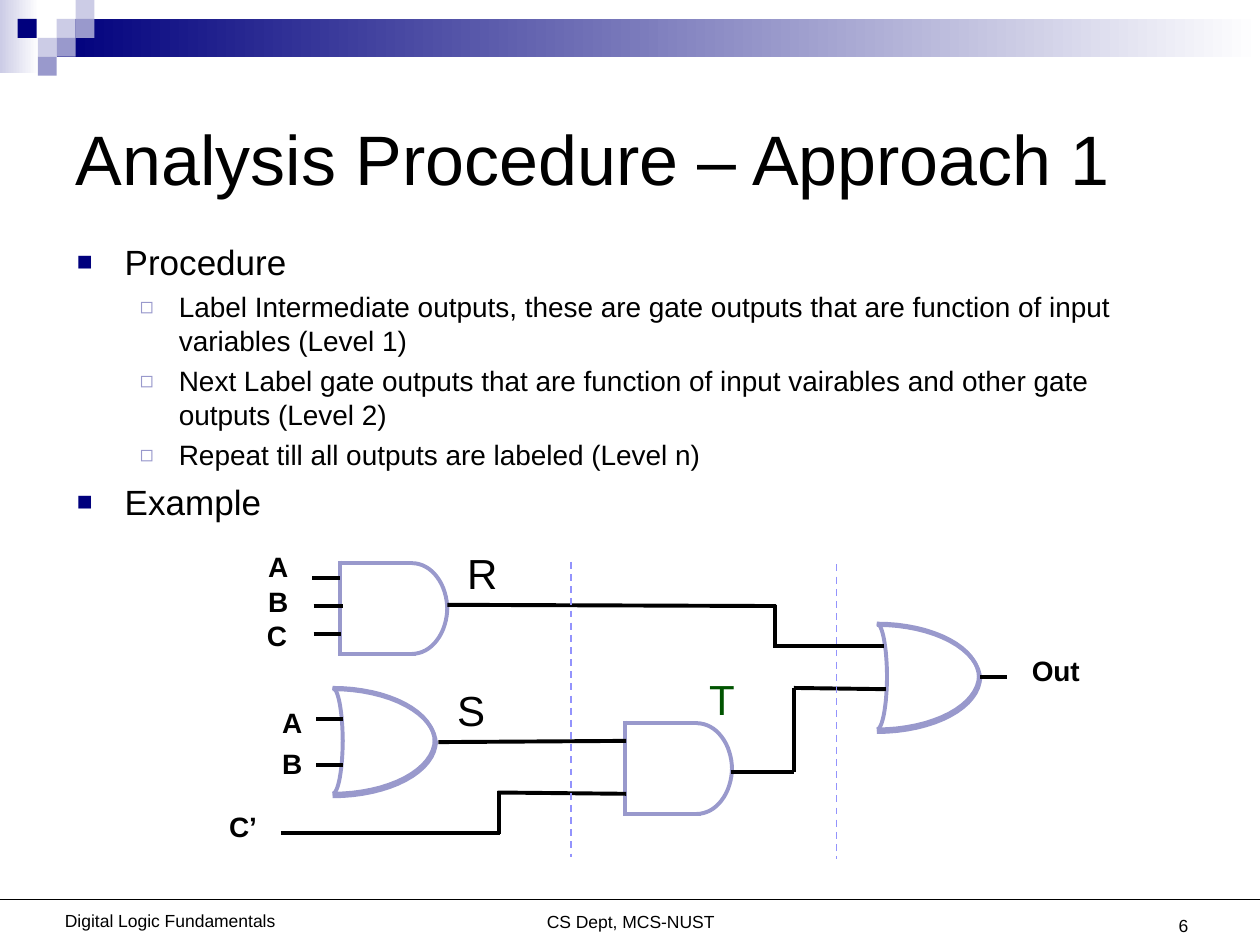
from math import cos, pi, sin

from lxml.etree import SubElement
from pptx import Presentation
from pptx.dml.color import RGBColor
from pptx.enum.dml import MSO_LINE
from pptx.enum.shapes import MSO_CONNECTOR, MSO_SHAPE
from pptx.enum.text import MSO_ANCHOR, MSO_AUTO_SIZE, PP_ALIGN
from pptx.oxml.ns import qn
from pptx.util import Inches, Pt

BLACK = RGBColor(0x00, 0x00, 0x00)
WHITE = RGBColor(0xFF, 0xFF, 0xFF)
NAVY = RGBColor(0x00, 0x00, 0x7D)
LILAC = RGBColor(0x99, 0x99, 0xCC)
PALE = RGBColor(0xCC, 0xCC, 0xE6)
GREEN = RGBColor(0x00, 0x54, 0x00)
DASH = RGBColor(0x93, 0x93, 0xFC)

deck = Presentation()
deck.slide_width, deck.slide_height = Inches(10), Inches(7.5)
slide = deck.slides.add_slide(deck.slide_layouts[1])
shapes = slide.shapes


def wire(x1, y1, x2, y2, color=BLACK, width=2.25):
    line = shapes.add_connector(MSO_CONNECTOR.STRAIGHT, Inches(x1), Inches(y1),
                                Inches(x2), Inches(y2))
    line.line.color.rgb = color
    line.line.width = Pt(width)
    SubElement(line._element.spPr, qn("a:effectLst"))
    return line


def arc(x, y, w, h, lower):
    """Draw the upper or lower right quarter of an ellipse in the given box."""
    steps = 16
    pts = []
    for i in range(steps + 1):
        turn = pi / 2 * i / steps
        drop = h * cos(turn)
        pts.append((Inches(x + w * sin(turn)), Inches(y + drop if lower else y + h - drop)))
    build = shapes.build_freeform(*pts[0])
    build.add_line_segments(pts[1:], close=False)
    curve = build.convert_to_shape()
    curve.shadow.inherit = False
    curve.fill.background()
    curve.line.color.rgb = LILAC
    curve.line.width = Pt(2.25)


# Banner
for x, y, w, h, start in [(0, 0, 0.31, 0.58, PALE), (0.45, 0.15, 9.55, 0.3, NAVY)]:
    band = shapes.add_shape(MSO_SHAPE.RECTANGLE, Inches(x), Inches(y), Inches(w), Inches(h))
    band.shadow.inherit = False
    band.line.fill.background()
    band.fill.gradient()
    band.fill.gradient_angle = 0
    for stop, color in zip(band.fill.gradient_stops, (start, WHITE)):
        stop.color.rgb = color

side = 0.15
for x, y, color in [(0.45, 0.15, PALE), (0.6, 0, PALE), (0.6, 0.15, LILAC), (0.3, 0.3, PALE),
                    (0.14, 0.15, NAVY), (0.45, 0.3, LILAC), (0.3, 0.45, LILAC)]:
    tile = shapes.add_shape(MSO_SHAPE.RECTANGLE, Inches(x), Inches(y), Inches(side), Inches(side))
    tile.shadow.inherit = False
    tile.line.fill.background()
    tile.fill.solid()
    tile.fill.fore_color.rgb = color

# Title
title = shapes.title
title.left, title.top, title.width, title.height = Inches(0.5), Inches(0.5), Inches(9), Inches(1.5)
frame = title.text_frame
frame.auto_size = MSO_AUTO_SIZE.NONE
frame.vertical_anchor = MSO_ANCHOR.MIDDLE
para = frame.paragraphs[0]
para.alignment = PP_ALIGN.LEFT
run = para.add_run()
run.text = "Analysis Procedure – Approach 1"
run.font.size, run.font.name = Pt(40), "Arial"
run.font.color.rgb = BLACK

# Procedure list
body = slide.placeholders[1]
body.left, body.top, body.width, body.height = Inches(0.51), Inches(1.86), Inches(9), Inches(4.25)
frame = body.text_frame
frame.auto_size = MSO_AUTO_SIZE.NONE
# size, space before, left margin, indent, bullet, bullet colour, bullet percent
styles = [(20, 5, 0.38, -0.38, "■", NAVY, 75), (16, 4, 0.81, -0.31, "◻", LILAC, 80)]
items = [
    (0, "Procedure"),
    (1, "Label Intermediate outputs, these are gate outputs that are function of input "
        "variables (Level 1)"),
    (1, "Next Label gate outputs that are function of input vairables and other gate "
        "outputs (Level 2)"),
    (1, "Repeat till all outputs are labeled (Level n)"),
    (0, "Example"),
]
for i, (level, text) in enumerate(items):
    size, gap, left, indent, mark, color, scale = styles[level]
    para = frame.add_paragraph() if i else frame.paragraphs[0]
    para.level = level
    para.space_before = Pt(gap if i else 0)
    props = para._p.get_or_add_pPr()
    props.set("marL", str(Inches(left)))
    props.set("indent", str(Inches(indent)))
    SubElement(SubElement(props, qn("a:buClr")), qn("a:srgbClr")).set("val", str(color))
    SubElement(props, qn("a:buSzPct")).set("val", str(scale * 1000))
    SubElement(props, qn("a:buFont")).set("typeface", "Arial")
    SubElement(props, qn("a:buChar")).set("char", mark)
    run = para.add_run()
    run.text = text
    run.font.size, run.font.name = Pt(size), "Arial"
    run.font.color.rgb = BLACK

# OR gates: outer curve doubled, then the inner back curve
for x, y in [(6.96, 4.95), (2.64, 5.46)]:
    for lower in (False, True):
        top = y + 0.41 * lower
        arc(x, top, 0.81, 0.43, lower)
        arc(x, top + 0.01, 0.82, 0.44, lower)
        arc(x, top, 0.08, 0.43, lower)

# AND gates
for x, y in [(4.96, 5.73), (2.7, 4.46)]:
    wire(x, y + 0.01, x + 0.58, y + 0.01, LILAC)
    wire(x, y + 0.73, x + 0.6, y + 0.73, LILAC)
    wire(x, y - 0.01, x, y + 0.75, LILAC)
    arc(x + 0.57, y + 0.01, 0.28, 0.37, False)
    arc(x + 0.57, y + 0.36, 0.28, 0.37, True)

# Wires
for ends in [
    (2.48, 4.59, 2.7, 4.59), (2.49, 4.81, 2.72, 4.81), (2.49, 5.03, 2.71, 5.03),
    (2.51, 5.71, 2.72, 5.71), (2.51, 6.07, 2.72, 6.07),
    (2.23, 6.61, 3.97, 6.61), (3.96, 6.62, 3.96, 6.28), (3.95, 6.29, 4.97, 6.3),
    (3.48, 5.89, 4.97, 5.88),
    (3.55, 4.8, 6.16, 4.81), (6.15, 4.8, 6.15, 5.14), (6.15, 5.13, 7.02, 5.13),
    (5.8, 6.13, 6.3, 6.13), (6.3, 6.13, 6.3, 5.46), (6.3, 5.46, 7.03, 5.47),
    (7.78, 5.37, 7.99, 5.37),
]:
    wire(*ends)

# Level dividers and footer rule
for x, y in [(4.53, 4.46), (6.64, 4.48)]:
    wire(x, y, x, y + 2.34, DASH, 1).line.dash_style = MSO_LINE.DASH
wire(0, 7.14, 10, 7.14, BLACK, 0.75)

# Signal names and footer
LEFT, MID, RIGHT = PP_ALIGN.LEFT, PP_ALIGN.CENTER, PP_ALIGN.RIGHT
for text, x, y, w, h, size, color, align in [
    ("A", 2.03, 4.31, 0.36, 0.37, 16, BLACK, LEFT),
    ("B", 2.03, 4.59, 0.36, 0.37, 16, BLACK, LEFT),
    ("C", 2.02, 4.86, 0.36, 0.37, 16, BLACK, LEFT),
    ("A", 2.14, 5.55, 0.36, 0.37, 16, BLACK, LEFT),
    ("B", 2.14, 5.88, 0.36, 0.37, 16, BLACK, LEFT),
    ("C’", 1.72, 6.38, 0.42, 0.37, 16, BLACK, LEFT),
    ("Out", 8.09, 5.14, 0.58, 0.37, 16, BLACK, LEFT),
    ("R", 3.61, 4.3, 0.44, 0.5, 24, BLACK, LEFT),
    ("S", 3.53, 5.38, 0.42, 0.5, 24, BLACK, LEFT),
    ("T", 5.53, 5.3, 0.4, 0.5, 24, GREEN, LEFT),
    ("CS Dept, MCS-NUST", 2.92, 7.18, 4.17, 0.27, 10, BLACK, MID),
    ("Digital Logic Fundamentals", 0.35, 7.17, 2, 0.27, 10, BLACK, MID),
    ("6", 7.2, 6.98, 2.33, 0.5, 10, BLACK, RIGHT),
]:
    box = shapes.add_textbox(Inches(x), Inches(y), Inches(w), Inches(h))
    frame = box.text_frame
    frame.word_wrap = align != LEFT
    if align == RIGHT:
        frame.vertical_anchor = MSO_ANCHOR.BOTTOM
    para = frame.paragraphs[0]
    para.alignment = align
    run = para.add_run()
    run.text = text
    run.font.size, run.font.name = Pt(size), "Arial"
    run.font.bold = size == 16
    run.font.color.rgb = color

deck.save("out.pptx")
